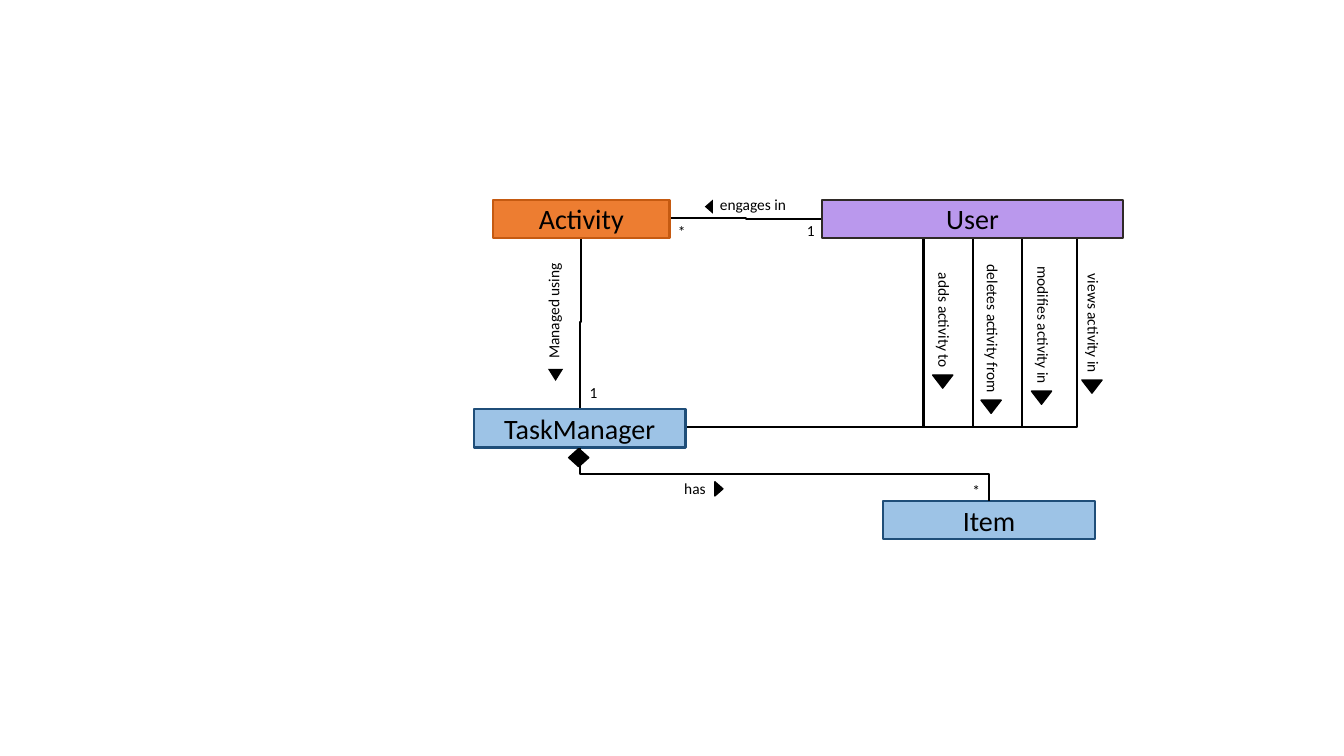
from collections import namedtuple
from pptx import Presentation
from pptx.dml.color import RGBColor as RGB
from pptx.enum.shapes import MSO_CONNECTOR as Link, MSO_SHAPE as Form
from pptx.enum.text import MSO_ANCHOR as Anchor, PP_ALIGN as Align
from pptx.oxml.ns import qn
from pptx.util import Inches as In, Pt
from lxml.etree import SubElement as Sub

HUES = {"ink": "000000", "blue": "9DC3E6", "navy": "1F4E79", "violet": "BA98ED",
        "dark": "2F2A27", "orange": "ED7D31", "rust": "C55A11"}
FONT = "Calibri"

# Grid of one-inch cells: left, top, width, height
Box = namedtuple("Box", "x y w h")
ACTIVITY = Box(4.89, 1.98, 1.75, 0.38)
USER = Box(8.15, 1.98, 2.99, 0.38)
MANAGER = Box(4.7, 4.06, 2.1, 0.38)
ITEM = Box(8.76, 4.97, 2.1, 0.38)

# Label, stem column, label column, label foot
VERBS = [("adds activity to", 9.16, 9.28, 3.65),
         ("deletes activity from", 9.65, 9.76, 3.9),
         ("modifies activity in", 10.14, 10.26, 3.81),
         ("views activity in", 10.68, 10.76, 3.7)]


def mid(box):
    return box.x + box.w / 2


def base(box):
    return box.y + box.h


def hue(name):
    return RGB.from_string(HUES[name])


def write(frame, text, size, align):
    frame.word_wrap = True
    para = frame.paragraphs[0]
    para.text, para.alignment = text, align
    para.font.size, para.font.name = Pt(size), FONT
    para.font.color.rgb = hue("ink")


def shape(slide, form, box, fill, edge=None, width=1):
    item = slide.shapes.add_shape(form, *map(In, box))
    item.shadow.inherit = False
    item.fill.solid()
    item.fill.fore_color.rgb = hue(fill)
    if edge:
        item.line.color.rgb, item.line.width = hue(edge), Pt(width)
    else:
        item.line.fill.background()
    return item


def entity(slide, box, name, fill, edge):
    item = shape(slide, Form.RECTANGLE, box, fill, edge, 1.5)
    item.text_frame.vertical_anchor = Anchor.MIDDLE
    write(item.text_frame, name, 20, Align.CENTER)


def label(slide, box, text, align=Align.RIGHT, turn=0):
    item = slide.shapes.add_textbox(*map(In, box))
    item.rotation = turn
    frame = item.text_frame
    frame.margin_left = frame.margin_right = 0
    frame.margin_top = frame.margin_bottom = 0
    write(frame, text, 11, align)


def arrow(slide, box, turn, edge=None):
    shape(slide, Form.ISOSCELES_TRIANGLE, box, "ink", edge).rotation = turn


def elbow(slide, start, end, bend=0.5, down=False):
    """Bent line; with down set it leaves its start vertically."""
    (x1, y1), (x2, y2) = start, end
    turn = 0
    if down:
        turn, sign = (270, 1) if x2 > x1 else (90, -1)
        cx, cy = (x1 + x2) / 2, (y1 + y2) / 2
        dx, dy = sign * (x2 - x1) / 2, sign * (y2 - y1) / 2
        x1, y1, x2, y2 = cx + dy, cy - dx, cx - dy, cy + dx
    line = slide.shapes.add_connector(Link.ELBOW, *map(In, (x1, y1, x2, y2)))
    line.line.color.rgb, line.line.width = hue("ink"), Pt(1.5)
    props = line._element.spPr
    Sub(props, qn("a:effectLst"))
    if turn:
        props.find(qn("a:xfrm")).set("rot", str(turn * 60000))
    marks = props.find(qn("a:prstGeom")).find(qn("a:avLst"))
    Sub(marks, qn("a:gd"), name="adj1", fmla=f"val {round(bend * 100000)}")


def engage(slide, user, act):
    """User engages in Activity."""
    y = act.y + 0.18
    right = act.x + act.w
    elbow(slide, (user.x, y + 0.01), (right, y))
    label(slide, Box(right + 0.5, y - 0.22, 0.8, 0.25), "engages in", Align.LEFT)
    arrow(slide, Box(right + 0.32, y - 0.15, 0.14, 0.08), 270)
    label(slide, Box(right + 0.02, y + 0.04, 0.14, 0.25), "*")
    label(slide, Box(user.x - 0.21, y + 0.03, 0.14, 0.25), "1")


def manage(slide, act, task):
    """Activity is managed using TaskManager."""
    x, top = mid(act), base(act)
    elbow(slide, (x, top), (mid(task), task.y), 0.49, True)
    label(slide, Box(x - 0.8, top + 0.5, 1.13, 0.27), "Managed using", Align.LEFT, 270)
    arrow(slide, Box(x - 0.33, top + 1.3, 0.15, 0.12), 180)
    label(slide, Box(x + 0.02, task.y - 0.26, 0.14, 0.25), "1")


def hold(slide, task, item):
    """TaskManager is composed of items."""
    x, top = mid(task), base(task)
    elbow(slide, (x, top), (mid(item), item.y), down=True)
    shape(slide, Form.FLOWCHART_DECISION, Box(x - 0.11, top + 0.01, 0.2, 0.18), "ink", "ink")
    label(slide, Box(x + 0.45, top + 0.31, 0.8, 0.25), "has")
    arrow(slide, Box(x + 1.31, top + 0.37, 0.14, 0.08), 90, "ink")
    label(slide, Box(mid(item) - 0.23, item.y - 0.2, 0.14, 0.25), "*")


def act_on(slide, user, task):
    """User's four actions on TaskManager."""
    left, y, end = task.x + task.w, task.y + 0.18, 9.65
    long, deep = 1.45, 0.36
    for text, stem, col, foot in VERBS:
        elbow(slide, (left, y), (end, base(user)), (stem - left) / (end - left))
        box = Box(col - long / 2, foot - long / 2 - deep / 2, long, deep)
        label(slide, box, text, turn=90)
        arrow(slide, Box(col - 0.03, foot + 0.07, 0.2, 0.13), 180, "ink")


def main():
    deck = Presentation()
    deck.slide_width, deck.slide_height = In(13.33), In(7.5)
    slide = deck.slides.add_slide(deck.slide_layouts[6])
    # Associations
    engage(slide, USER, ACTIVITY)
    manage(slide, ACTIVITY, MANAGER)
    act_on(slide, USER, MANAGER)
    # Classes
    entity(slide, MANAGER, "TaskManager", "blue", "navy")
    entity(slide, ITEM, "Item", "blue", "navy")
    entity(slide, USER, "User", "violet", "dark")
    entity(slide, ACTIVITY, "Activity", "orange", "rust")
    # Composition
    hold(slide, MANAGER, ITEM)
    deck.save("out.pptx")


if __name__ == "__main__":
    main()
